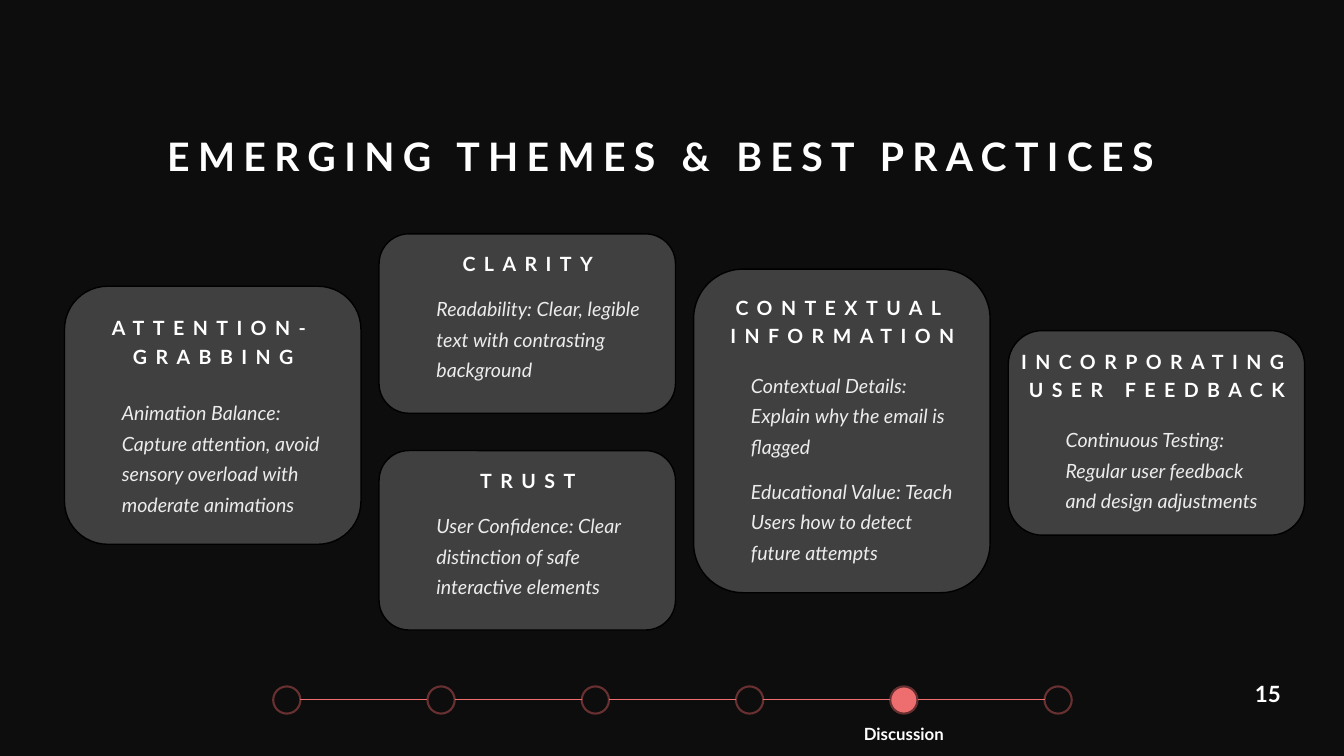
import pptx
import pptx.util
import pptx.dml.color
import pptx.enum.shapes
import pptx.enum.text
import pptx.oxml.ns
import lxml.etree

Inches = pptx.util.Inches
Pt = pptx.util.Pt
SHAPE = pptx.enum.shapes.MSO_SHAPE
ALIGN = pptx.enum.text.PP_ALIGN
ANCHOR = pptx.enum.text.MSO_ANCHOR

CARD_LEFT, CARD_PITCH, CARD_WIDTH = 0.64, 3.12, 2.94
STEP_LEFT, STEP_PITCH, STEP_TOP, STEP_SIZE = 2.71, 1.53, 6.81, 0.27
STEP_COUNT, CURRENT_STEP = 6, 4
CORAL = "EE6E6F"

# column, (card top, height), (heading top, height), (body top, height), heading, body
THEMES = [
    (0, (2.84, 2.56), (3.05, 0.65), (3.86, 1.53), "ATTENTION-GRABBING",
     ["Animation Balance: Capture attention, avoid sensory overload with moderate animations"]),
    (1, (2.32, 1.78), (2.54, 0.24), (2.83, 1.09), "CLARITY",
     ["Readability: Clear, legible text with contrasting background"]),
    (2, (2.67, 3.21), (3.06, 0.44), (3.59, 1.97), "CONTEXTUAL INFORMATION",
     ["Contextual Details: Explain why the email is flagged",
      "Educational Value: Teach Users how to detect future attempts"]),
    (1, (4.47, 1.78), (4.69, 0.24), (4.98, 1.09), "TRUST",
     ["User Confidence: Clear distinction of safe interactive elements"]),
    (3, (3.28, 2.03), (3.75, 0.28), (4.13, 0.86), "INCORPORATING USER FEEDBACK",
     ["Continuous Testing: Regular user feedback and design adjustments"]),
]


def color(hex_text):
    return pptx.dml.color.RGBColor.from_string(hex_text)


def add_text(slide, box, paragraphs, size=14, ink="FFFFFF", bold=False, italic=False,
             align=ALIGN.LEFT, anchor=ANCHOR.TOP, line_spacing=1.0, gap=0, indent=0, tracking=0):
    frame = slide.shapes.add_textbox(*map(Inches, box)).text_frame
    frame.word_wrap = True
    frame.vertical_anchor = anchor
    for index, wording in enumerate(paragraphs):
        paragraph = frame.add_paragraph() if index else frame.paragraphs[0]
        paragraph.alignment = align
        paragraph.line_spacing = line_spacing
        if index:
            paragraph.space_before = Pt(gap)
        if indent:
            paragraph._p.get_or_add_pPr().set("marL", str(Inches(indent)))
        run = paragraph.add_run()
        run.text = wording
        run.font.name = "Lato"
        run.font.size = Pt(size)
        run.font.bold = bold
        run.font.italic = italic
        run.font.color.rgb = color(ink)
        if tracking:
            run._r.get_or_add_rPr().set("spc", str(tracking * 100))


def add_outline(slide, kind, box, line, fill=None, weight=1):
    outline = slide.shapes.add_shape(kind, *map(Inches, box))
    outline.shadow.inherit = False
    if fill:
        outline.fill.solid()
        outline.fill.fore_color.rgb = color(fill)
    else:
        outline.fill.background()
    outline.line.color.rgb = color(line)
    outline.line.width = Pt(weight)


def add_link(slide, start, end, y):
    link = slide.shapes.add_connector(pptx.enum.shapes.MSO_CONNECTOR.STRAIGHT,
                                      Inches(start), Inches(y), Inches(end), Inches(y))
    link.line.color.rgb = color(CORAL)
    link.line.width = Pt(0.25)
    lxml.etree.SubElement(link._element.spPr, pptx.oxml.ns.qn("a:effectLst"))


def add_theme(slide, column, card, heading_span, body_span, heading, body):
    left = CARD_LEFT + column * CARD_PITCH
    add_outline(slide, SHAPE.ROUNDED_RECTANGLE, (left, card[0], CARD_WIDTH, card[1]),
                line="000000", fill="404040")
    add_text(slide, (left + 0.01, heading_span[0], 2.93, heading_span[1]), [heading], bold=True,
             align=ALIGN.CENTER, anchor=ANCHOR.BOTTOM, line_spacing=1.2, tracking=6)
    add_text(slide, (left + 0.27, body_span[0], 2.51, body_span[1]), body, ink="ECECEC",
             italic=True, line_spacing=1.3, gap=10, indent=0.2)


def add_progress(slide):
    for step in range(STEP_COUNT):
        left = STEP_LEFT + step * STEP_PITCH
        add_outline(slide, SHAPE.FLOWCHART_CONNECTOR, (left, STEP_TOP, STEP_SIZE, STEP_SIZE),
                    line="683031", fill=CORAL if step == CURRENT_STEP else None, weight=1.5)
        if step:
            add_link(slide, left - STEP_PITCH + STEP_SIZE, left, 6.94)
    add_text(slide, (8.2, 7.14, STEP_PITCH, 0.27), ["Discussion"], size=12, bold=True,
             align=ALIGN.CENTER, anchor=ANCHOR.MIDDLE)


def main():
    deck = pptx.Presentation()
    deck.slide_width, deck.slide_height = Inches(13.33), Inches(7.5)
    slide = deck.slides.add_slide(deck.slide_layouts[6])
    slide.background.fill.solid()
    slide.background.fill.fore_color.rgb = color("0D0D0D")

    # Title and page number
    add_text(slide, (1.56, 0.89, 10.1, 0.94), ["EMERGING THEMES & BEST PRACTICES"], size=28,
             bold=True, anchor=ANCHOR.BOTTOM, line_spacing=1.2, tracking=6)
    add_text(slide, (12.2, 6.65, 0.75, 0.47), ["15"], size=16, bold=True,
             align=ALIGN.CENTER, anchor=ANCHOR.MIDDLE)

    # Theme cards
    for theme in THEMES:
        add_theme(slide, *theme)

    # Progress bar along the bottom
    add_progress(slide)
    deck.save("out.pptx")


if __name__ == "__main__":
    main()
